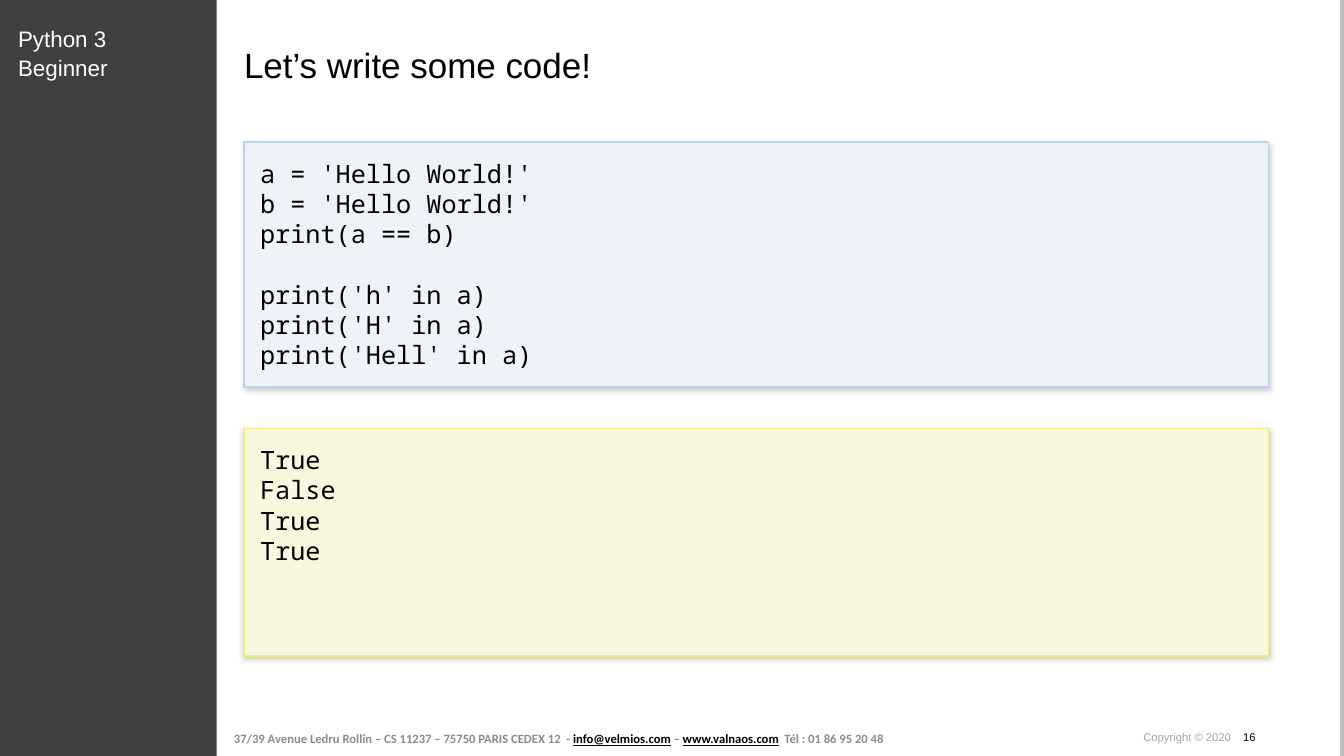
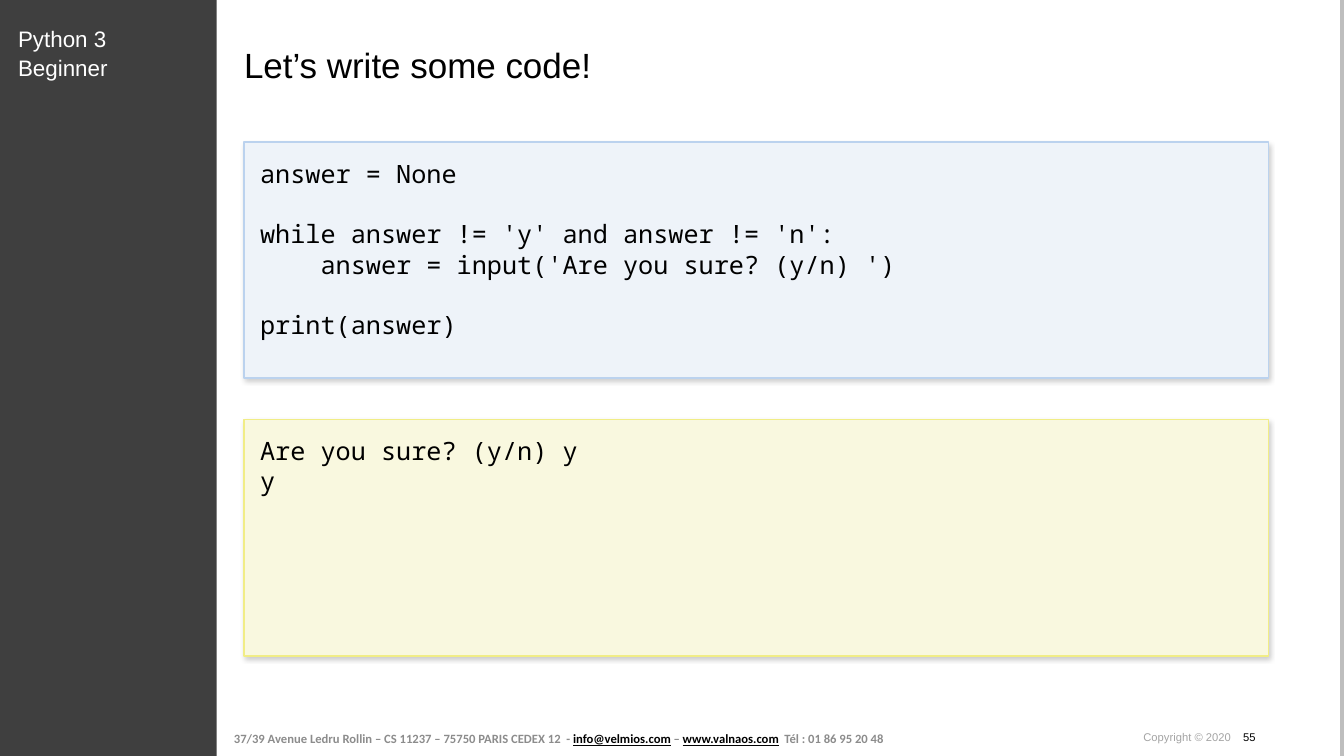
"""Build two Python lesson slides, each with a code panel above its output."""
from lxml import etree
from pptx import Presentation
from pptx.dml.color import RGBColor
from pptx.enum.shapes import MSO_CONNECTOR, MSO_SHAPE
from pptx.enum.text import MSO_ANCHOR
from pptx.oxml.ns import qn
from pptx.util import Emu, Pt

RECTANGLE = MSO_SHAPE.RECTANGLE
STRAIGHT = MSO_CONNECTOR.STRAIGHT
TOP, MIDDLE = MSO_ANCHOR.TOP, MSO_ANCHOR.MIDDLE

COLOURS = {
    "black": "000000", "white": "FFFFFF", "band": "3F3F3F", "edge": "BEBEBE",
    "footer": "8C8C8C", "copyright": "A4A4A4",
    "code_fill": "EEF3F9", "code_line": "BBD2EE",
    "output_fill": "F9F8DF", "output_line": "F1ED86",
}
SANS, FOOTER_FONT, MONO = "Arial", "Calibri", "Noto Sans Mono"

COURSE = "Python 3 Beginner"
TITLE = "Let’s write some code!"
COPYRIGHT = "Copyright © 2020"
LINK = {"colour": "black", "underline": True}
FOOTER = [
    ("37/39 Avenue Ledru Rollin – CS 11237 – 75750 PARIS CEDEX 12  - ", {}),
    ("info@velmios.com", LINK),
    (" – ", {}),
    ("www.valnaos.com", LINK),
    ("  Tél : 01 86 95 20 48", {}),
]
LESSONS = [
    {
        "number": "16",
        "code_height": 243,
        "code": [
            "a = 'Hello World!'",
            "b = 'Hello World!'",
            "print(a == b)",
            "",
            "print('h' in a)",
            "print('H' in a)",
            "print('Hell' in a)",
        ],
        "output": ["True", "False", "True", "True"],
    },
    {
        "number": "55",
        "code_height": 234,
        "code": [
            "answer = None",
            "",
            "while answer != 'y' and answer != 'n':",
            "    answer = input('Are you sure? (y/n) ')",
            "",
            "print(answer)",
        ],
        "output": ["Are you sure? (y/n) y", "y"],
    },
]

PX = 9144
SLIDE_WIDTH, SLIDE_HEIGHT = 1333, 750
BAND_WIDTH, EDGE_X = 215, 1331
PANEL_LEFT, PANEL_TOP, PANEL_WIDTH, PANEL_BOTTOM = 242, 141, 1016, 651
PANEL_GAP, PANEL_INSET = 41, 16
NUMBER_TAB = 99
CODE_SIZE, CODE_LINE = 18, 21.6


def px(*lengths):
    return [Emu(length * PX) for length in lengths]


def rgb(name):
    return RGBColor.from_string(COLOURS[name])


def write(shape, lines, font=SANS, size=18, colour="black", bold=False,
          anchor=TOP, insets=(0, 0), spacing=None, blank_line=0):
    """Fill a shape with lines, each a string or a list of (text, format) spans."""
    frame = shape.text_frame
    frame.word_wrap = True
    frame.vertical_anchor = anchor
    frame.margin_left, frame.margin_top = px(*insets)
    frame.margin_right, frame.margin_bottom = px(*insets)
    para, gap = None, 0
    for line in lines:
        if not line:
            gap += blank_line
            continue
        para = frame.add_paragraph() if para is not None else frame.paragraphs[0]
        if gap:
            para.space_before = Pt(gap)
            gap = 0
        if spacing:
            para.line_spacing = spacing
        for text, style in [(line, {})] if isinstance(line, str) else line:
            span = para.add_run()
            span.text = text
            span.font.name, span.font.size, span.font.bold = font, Pt(size), bold
            span.font.color.rgb = rgb(style.get("colour", colour))
            if style.get("underline"):
                span.font.underline = True


def add_rectangle(page, place, fill, line=None):
    shape = page.shapes.add_shape(RECTANGLE, *px(*place))
    shape.shadow.inherit = False
    shape.fill.solid()
    shape.fill.fore_color.rgb = rgb(fill)
    if line:
        shape.line.color.rgb = rgb(line)
        shape.line.width = Pt(1)
    else:
        shape.line.fill.background()
    return shape


def add_panel(page, kind, top, height, lines):
    panel = add_rectangle(page, (PANEL_LEFT, top, PANEL_WIDTH, height),
                          f"{kind}_fill", f"{kind}_line")
    effects = panel.element.spPr.find(qn("a:effectLst"))
    shadow = etree.SubElement(
        effects, qn("a:outerShdw"), blurRad=str(Pt(4)), dist=str(Pt(1)),
        dir="5400000", algn="ctr", rotWithShape="0")
    tint = etree.SubElement(shadow, qn("a:srgbClr"), val=COLOURS["black"])
    etree.SubElement(tint, qn("a:alpha"), val="20000")
    write(panel, lines, font=MONO, size=CODE_SIZE, blank_line=CODE_LINE,
          insets=(PANEL_INSET, PANEL_INSET))


def decorate_layout(layout, page):
    """Draw the shared band, edge and footer, then move them to the layout."""
    for holder in list(layout.placeholders):
        if holder.placeholder_format.idx:
            holder.element.getparent().remove(holder.element)
    edge = page.shapes.add_connector(STRAIGHT, *px(EDGE_X, 0, EDGE_X, SLIDE_HEIGHT))
    edge.line.color.rgb = rgb("edge")
    edge.line.width = Pt(3.34)
    etree.SubElement(edge.element.find(qn("p:spPr")), qn("a:effectLst"))
    band = add_rectangle(page, (0, 0, BAND_WIDTH, SLIDE_HEIGHT), "band")
    footer = page.shapes.add_textbox(*px(225, 717, 668, 32))
    write(footer, [FOOTER], font=FOOTER_FONT, size=9, colour="footer", bold=True,
          anchor=MIDDLE, insets=(7, 4))
    course = page.shapes.add_textbox(*px(18, 24, 120, 54))
    write(course, [COURSE], size=16, colour="white", spacing=1.05)
    for shape in (edge, band, footer, course):
        layout.shapes.element.append(shape.element)


def add_copyright(page, number):
    box = page.shapes.add_textbox(*px(1134, 725, 171, 13))
    properties = box.text_frame.paragraphs[0]._p.get_or_add_pPr()
    tabs = etree.SubElement(properties, qn("a:tabLst"))
    etree.SubElement(tabs, qn("a:tab"), pos=str(NUMBER_TAB * PX), algn="l")
    write(box, [[(COPYRIGHT + "\t", {}), (number, {"colour": "black"})]],
          size=8, colour="copyright")


def fill_page(page, lesson):
    title = page.shapes.title
    title.left, title.top, title.width, title.height = px(PANEL_LEFT, 43, 1006, 42)
    write(title, [TITLE], size=25)
    title.text_frame.paragraphs[0].alignment = 1
    add_panel(page, "code", PANEL_TOP, lesson["code_height"], lesson["code"])
    output_top = PANEL_TOP + lesson["code_height"] + PANEL_GAP
    add_panel(page, "output", output_top, PANEL_BOTTOM - output_top, lesson["output"])
    for shape in list(page.shapes)[1:]:
        for para in shape.text_frame.paragraphs:
            para.alignment = 1
    add_copyright(page, lesson["number"])


def main():
    deck = Presentation()
    deck.slide_width, deck.slide_height = px(SLIDE_WIDTH, SLIDE_HEIGHT)
    layout = deck.slide_layouts[5]
    for index, lesson in enumerate(LESSONS):
        page = deck.slides.add_slide(layout)
        if index == 0:
            decorate_layout(layout, page)
        fill_page(page, lesson)
    deck.save("out.pptx")


if __name__ == "__main__":
    main()
